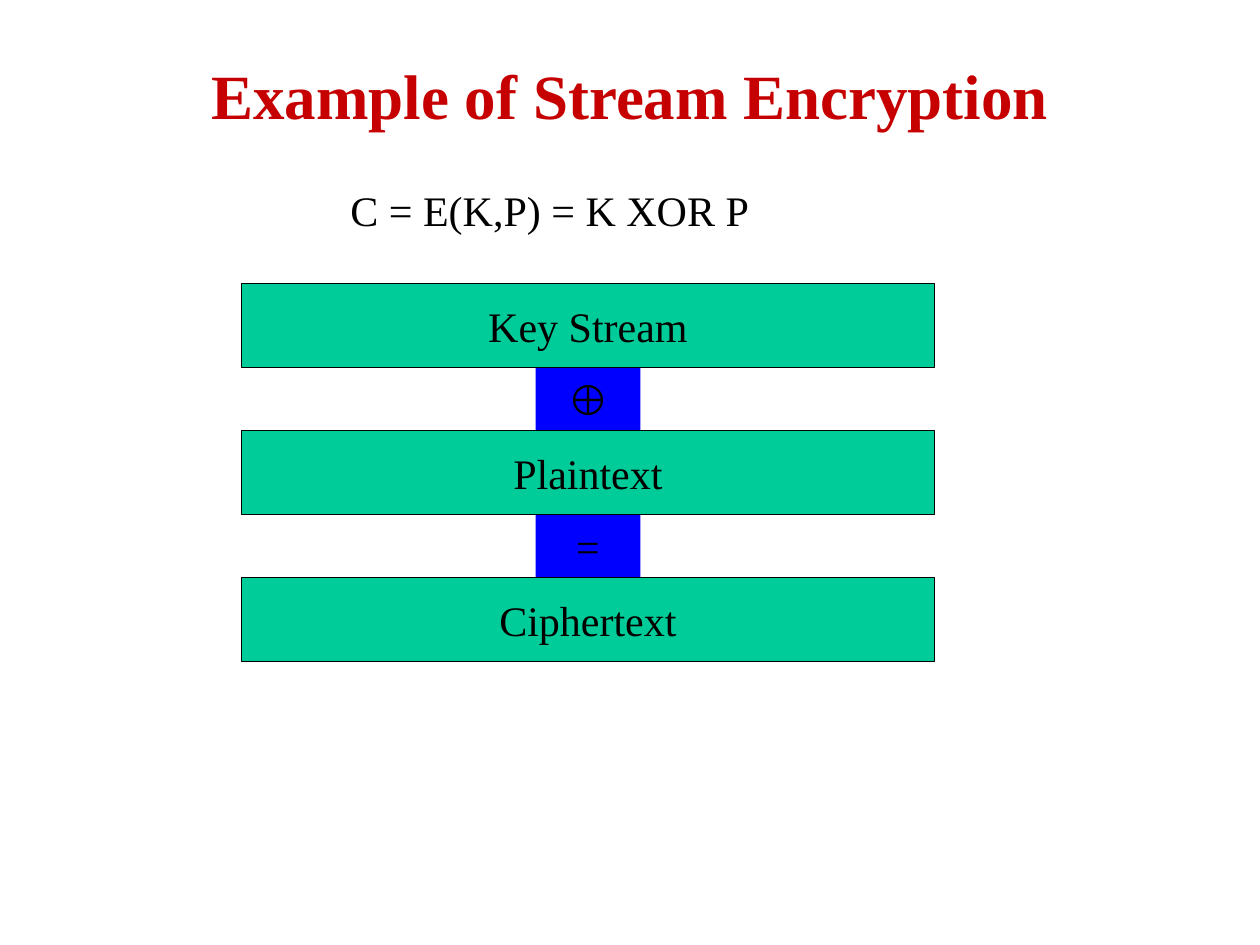
from dataclasses import dataclass
from typing import NamedTuple

from pptx import Presentation
from pptx.dml.color import RGBColor
from pptx.enum.shapes import MSO_SHAPE
from pptx.enum.text import MSO_ANCHOR, MSO_AUTO_SIZE, PP_ALIGN
from pptx.util import Inches, Pt

COLUMNS, ROWS = 120, 90
CELL = Inches(10) / COLUMNS


@dataclass(frozen=True)
class Theme:
    heading: RGBColor = RGBColor(0xC6, 0x00, 0x00)
    ink: RGBColor = RGBColor(0x00, 0x00, 0x00)
    stream: RGBColor = RGBColor(0x00, 0xCC, 0x99)
    operator: RGBColor = RGBColor(0x00, 0x00, 0xFF)
    serif: str = "Times New Roman"
    sans: str = "Arial"
    heading_size: Pt = Pt(36)
    body_size: Pt = Pt(24)
    outline: Pt = Pt(0.75)


THEME = Theme()


class Box(NamedTuple):
    """An area in grid columns and rows."""
    column: float
    row: float
    width: float
    height: float

    def emu(self):
        return [round(side * CELL) for side in self]


def write(shape, wording, align=PP_ALIGN.CENTER, anchor=MSO_ANCHOR.MIDDLE,
          wrap=False, **font):
    frame = shape.text_frame
    frame.word_wrap = wrap
    frame.vertical_anchor = anchor
    paragraph = frame.paragraphs[0]
    paragraph.alignment = align
    run = paragraph.add_run()
    run.text = wording
    run.font.color.rgb = font.pop("color", THEME.ink)
    style = {"name": THEME.serif, "size": THEME.body_size, **font}
    for attribute, value in style.items():
        setattr(run.font, attribute, value)


def add_heading(slide, box):
    heading = slide.shapes.add_textbox(*box.emu())
    write(heading, "Example of Stream Encryption", wrap=True, bold=True,
          size=THEME.heading_size, color=THEME.heading)


def add_formula(slide, box):
    formula = slide.shapes.add_textbox(*box.emu())
    write(formula, "C = E(K,P) = K XOR P",
          align=PP_ALIGN.LEFT, anchor=MSO_ANCHOR.TOP)
    formula.text_frame.auto_size = MSO_AUTO_SIZE.SHAPE_TO_FIT_TEXT


def add_block(slide, box, wording, fill, outlined=False, **font):
    block = slide.shapes.add_shape(MSO_SHAPE.RECTANGLE, *box.emu())
    block.shadow.inherit = False
    block.fill.solid()
    block.fill.fore_color.rgb = fill
    if outlined:
        block.line.color.rgb = THEME.ink
        block.line.width = THEME.outline
    else:
        block.line.fill.background()
    write(block, wording, **font)


def add_stream_stack(slide, box):
    """Stack the streams, with an operator centred in each gap."""
    streams = ["Key Stream", "Plaintext", "Ciphertext"]
    operators = [("⊕", THEME.sans), ("=", THEME.serif)]
    bar_height, operator_width = 8, 10
    gap = (box.height - len(streams) * bar_height) / len(operators)
    pitch = bar_height + gap
    operator_column = box.column + (box.width - operator_width) / 2

    for index, (symbol, face) in enumerate(operators):
        row = box.row + index * pitch + bar_height
        add_block(slide, Box(operator_column, row, operator_width, gap),
                  symbol, THEME.operator, name=face)
    for index, stream in enumerate(streams):
        row = box.row + index * pitch
        add_block(slide, Box(box.column, row, box.width, bar_height),
                  stream, THEME.stream, outlined=True)


def main():
    presentation = Presentation()
    presentation.slide_width = round(COLUMNS * CELL)
    presentation.slide_height = round(ROWS * CELL)
    slide = presentation.slides.add_slide(presentation.slide_layouts[6])
    add_stream_stack(slide, Box(23, 27, 66, 36))
    add_heading(slide, Box(9, 4, 102, 10))
    add_formula(slide, Box(32.2, 17, 40.6, 6))
    presentation.save("out.pptx")


if __name__ == "__main__":
    main()
